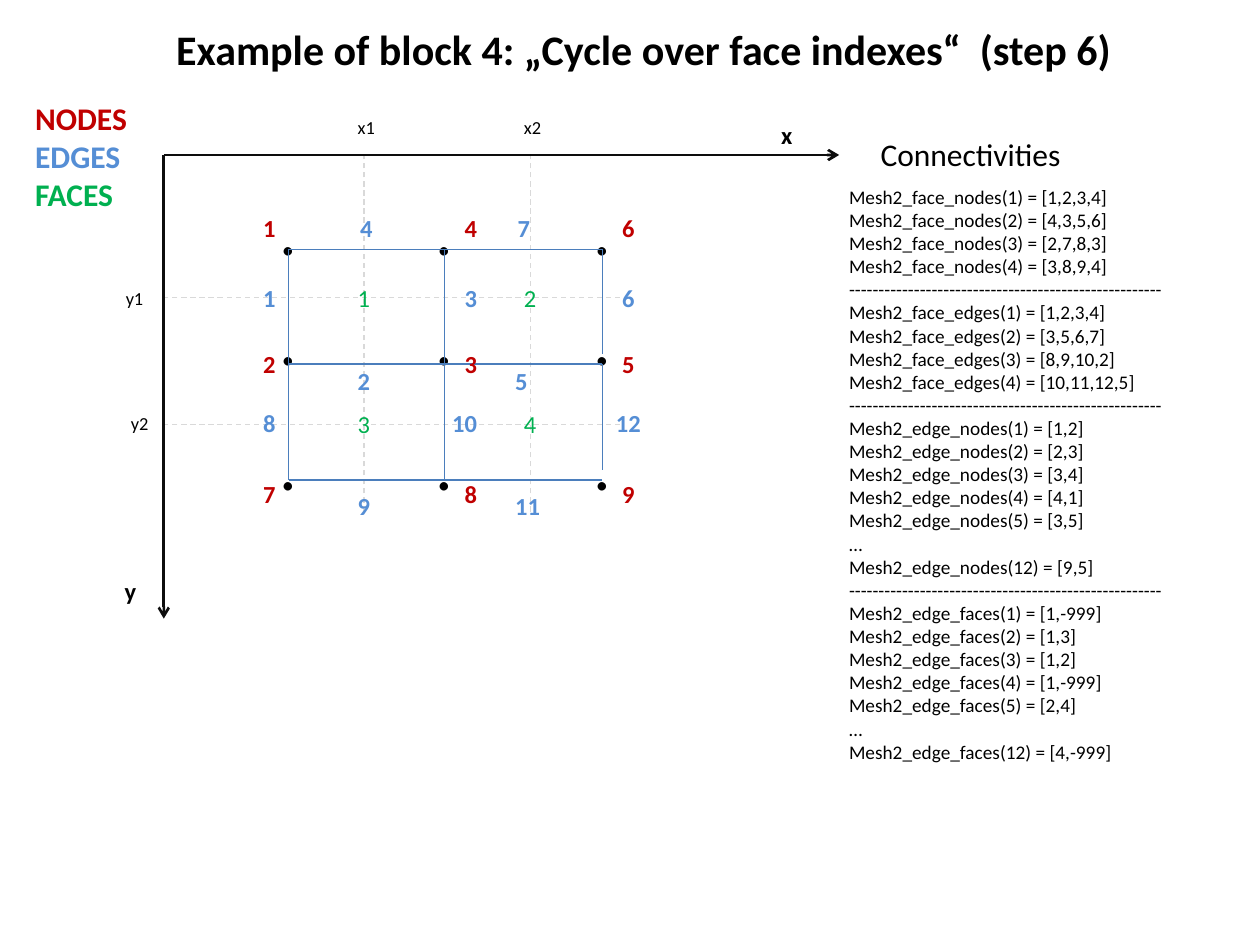
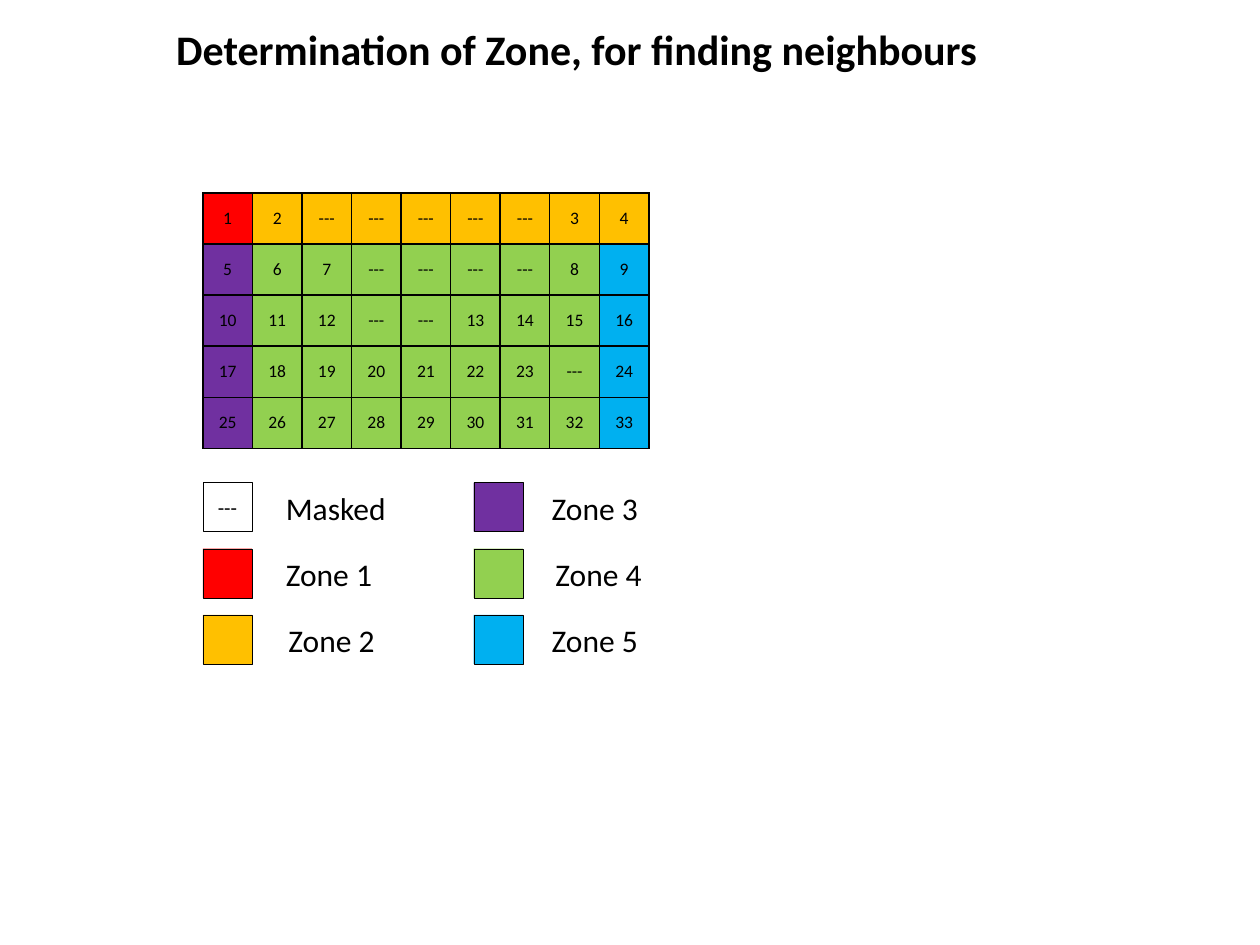
import itertools

import pptx
import pptx.dml.color
import pptx.enum.dml
import pptx.enum.shapes
import pptx.enum.text
import pptx.oxml
import pptx.oxml.ns
import pptx.util

COLORS = {
    "black": "000000", "axis": "0D0D0D", "guide": "D9D9D9", "mesh": "4B7EBC",
    "node": "C00000", "edge": "558ED5", "face": "00B050",
    "zone 1": "FF0000", "zone 2": "FFC000", "zone 3": "7030A0",
    "zone 4": "92D050", "zone 5": "00B0F0",
}
FONT = "Calibri"
COLUMNS = 100  # square grid units across the slide; 75 fit down it


def rgb(name):
    """Return the named colour."""
    return pptx.dml.color.RGBColor.from_string(COLORS[name])


class Slides:
    """The deck's style and current slide; lengths are grid columns and rows."""

    def __init__(self):
        """Open an empty 4:3 deck."""
        self.deck = pptx.Presentation()
        self.deck.slide_width = pptx.util.Inches(10)
        self.deck.slide_height = pptx.util.Inches(7.5)
        self.shapes = None

    def grid(self, *lengths):
        """Turn grid units into slide lengths."""
        unit = self.deck.slide_width / COLUMNS
        return [pptx.util.Emu(round(length * unit)) for length in lengths]

    def start(self, title):
        """Add a blank slide with a title."""
        page = self.deck.slides.add_slide(self.deck.slide_layouts[6])
        self.shapes = page.shapes
        self.text(title, 13, 1.4, 77.2, 5, size=24, bold=True)

    def style(self, para, size, color="black", bold=False):
        """Set the font of a paragraph."""
        font = para.font
        font.name, font.size, font.bold = FONT, pptx.util.Pt(size), bold
        font.color.rgb = rgb(color)

    def text(self, words, column, row, width, height, size=14,
             colors=("black",), bold=False, wrap=True):
        """Add a text box; colours repeat over its lines."""
        box = self.shapes.add_textbox(*self.grid(column, row, width, height))
        frame = box.text_frame
        frame.word_wrap = wrap
        frame.auto_size = pptx.enum.text.MSO_AUTO_SIZE.SHAPE_TO_FIT_TEXT
        frame.text = words
        for para, color in zip(frame.paragraphs, itertools.cycle(colors)):
            self.style(para, size, color, bold)

    def label(self, number, column, row, kind):
        """Add a mesh number, coloured by what it counts."""
        width = 2 + len(str(number))
        self.text(str(number), column, row, width, 3.4, colors=(kind,),
                  bold=kind != "face", wrap=False)

    def line(self, start, end, color, width=0.75, dashed=False, arrow=False):
        """Draw a straight line between two grid points."""
        connector = self.shapes.add_connector(
            pptx.enum.shapes.MSO_CONNECTOR.STRAIGHT, *self.grid(*start, *end))
        connector.line.color.rgb = rgb(color)
        connector.line.width = pptx.util.Pt(width)
        if dashed:
            connector.line.dash_style = pptx.enum.dml.MSO_LINE.DASH
        properties = connector._element.spPr
        if arrow:
            outline = properties.find(pptx.oxml.ns.qn("a:ln"))
            outline.append(pptx.oxml.parse_xml(
                f'<a:tailEnd {pptx.oxml.ns.nsdecls("a")} type="arrow"/>'))
        properties.append(pptx.oxml.parse_xml(
            f'<a:effectLst {pptx.oxml.ns.nsdecls("a")}/>'))

    def swatch(self, column, row, side, fill=None, words=""):
        """Draw an outlined square, filled or with words inside."""
        square = self.shapes.add_shape(
            pptx.enum.shapes.MSO_SHAPE.RECTANGLE,
            *self.grid(column, row, side, side))
        square.shadow.inherit = False
        square.line.color.rgb = rgb("black")
        square.line.width = pptx.util.Pt(0.25)
        if fill:
            square.fill.solid()
            square.fill.fore_color.rgb = rgb(fill)
        else:
            square.fill.background()
        if words:
            frame = square.text_frame
            frame.text = words
            frame.vertical_anchor = pptx.enum.text.MSO_ANCHOR.MIDDLE
            frame.paragraphs[0].alignment = pptx.enum.text.PP_ALIGN.CENTER
            self.style(frame.paragraphs[0], 12)

    def table(self, rows, column, row, width, height, fill_of):
        """Add a bordered table of equal cells; fill_of names a cell's colour."""
        across, down = len(rows[0]), len(rows)
        table = self.shapes.add_table(
            down, across, *self.grid(column, row, width, height)).table
        table.first_row = table.horz_banding = False
        for y, x in itertools.product(range(down), range(across)):
            cell = table.cell(y, x)
            cell.text = rows[y][x]
            cell.vertical_anchor = pptx.enum.text.MSO_ANCHOR.MIDDLE
            para = cell.text_frame.paragraphs[0]
            para.alignment = pptx.enum.text.PP_ALIGN.CENTER
            self.style(para, 10)
            self.borders(cell)
            cell.fill.solid()
            cell.fill.fore_color.rgb = rgb(fill_of(x, y))

    def borders(self, cell):
        """Give a cell thin black borders on all sides."""
        for side in "LRTB":
            cell._tc.get_or_add_tcPr().append(pptx.oxml.parse_xml(
                f'<a:ln{side} {pptx.oxml.ns.nsdecls("a")} w="12700">'
                f'<a:solidFill><a:srgbClr val="{COLORS["black"]}"/></a:solidFill>'
                f'</a:ln{side}>'))


MESH_X, MESH_Y = (22.9, 35.3, 47.8), (19.8, 28.9, 38.1)
CENTRE_X, CENTRE_Y = (28.9, 42.1), (23.6, 33.7)
LABEL_X = (19.9, 35.9, 48.4)
RULE = "-" * 53
CONNECTIVITIES = [
    ("face_nodes", {1: "1,2,3,4", 2: "4,3,5,6", 3: "2,7,8,3", 4: "3,8,9,4"}),
    ("face_edges", {1: "1,2,3,4", 2: "3,5,6,7", 3: "8,9,10,2",
                    4: "10,11,12,5"}),
    ("edge_nodes", {1: "1,2", 2: "2,3", 3: "3,4", 4: "4,1", 5: "3,5",
                    12: "9,5"}),
    ("edge_faces", {1: "1,-999", 2: "1,3", 3: "1,2", 4: "1,-999", 5: "2,4",
                    12: "4,-999"}),
]


def connectivity_lines():
    """Return the listing, ruled between groups, with an ellipsis for gaps."""
    lines = []
    for name, entries in CONNECTIVITIES:
        if lines:
            lines.append(RULE)
        for index, values in entries.items():
            if index == 12:
                lines.append("…")
            lines.append(f"Mesh2_{name}({index}) = [{values}]")
    return "\n".join(lines)


def draw_axes(slides):
    """Draw the guides, the two axes and their names."""
    for x in CENTRE_X:
        slides.line((x, 40.6), (x, 12.3), "guide", dashed=True)
    for y in reversed(CENTRE_Y):
        slides.line((49.2, y), (13, y), "guide", dashed=True)
    for end in ((13, 49.1), (66.6, 12.3)):
        slides.line((13, 12.3), end, "axis", width=1.5, arrow=True)
    slides.text("x", 61, 9, 4.5, 3.4, bold=True)
    slides.text("y", 8.9, 45.2, 4.5, 3.4, bold=True)
    for words, column, row, width in (
            ("x1", 27.4, 8.7, 4.5), ("x2", 40.6, 8.7, 4.5),
            ("y1", 9, 22.3, 3.6), ("y2", 9.4, 32.2, 3.6)):
        slides.text(words, column, row, width, 2.8, size=10.5)


def draw_mesh(slides):
    """Draw the nodes and edges of the four faces."""
    for y, x in itertools.product((14.2, 23, 32.9), (21.2, 33.6, 46.1)):
        slides.text(".", x, y, 3.4, 7.7, size=40, wrap=False)
    for y in MESH_Y:
        for left, right in itertools.pairwise(MESH_X):
            slides.line((left, y), (right, y), "mesh")
    for x in MESH_X:
        short = 0.8 if x == MESH_X[-1] else 0
        for top, bottom in itertools.pairwise(MESH_Y):
            slides.line((x, top), (x, bottom - short), "mesh")


def number_mesh(slides):
    """Number the nodes, edges and faces."""
    # kind, row, left ends, numbers
    for kind, row, columns, numbers in (
            ("node", 16.4, LABEL_X, (1, 4, 6)),
            ("node", 27.2, LABEL_X, (2, 3, 5)),
            ("node", 37.5, LABEL_X, (7, 8, 9)),
            ("edge", 16.4, (27.6, 40.1), (4, 7)),
            ("edge", 22, LABEL_X, (1, 3, 6)),
            ("edge", 28.6, (27.4, 39.9), (2, 5)),
            ("edge", 31.9, (19.9, 34.9, 47.9), (8, 10, 12)),
            ("edge", 38.5, (27.4, 39.9), (9, 11)),
            ("face", 22, (27.4, 40.6), (1, 2)),
            ("face", 32, (27.4, 40.6), (3, 4))):
        for column, number in zip(columns, numbers):
            slides.label(number, column, row, kind)


def build_mesh_slide(slides):
    """Build the slide on face indexes."""
    slides.start("Example of block 4: „Cycle over face indexes“  (step 6)")
    draw_axes(slides)
    draw_mesh(slides)
    number_mesh(slides)
    slides.text(connectivity_lines(), 66.4, 14.2, 28.3, 54.7, size=11)
    slides.text("Connectivities", 68.9, 10.2, 19.7, 4, size=18)
    slides.text("NODES\nEDGES\nFACES", 1.8, 7.4, 10.2, 10.1, size=18,
                colors=("node", "edge", "face"), bold=True)


MASK = "---"
OPEN_CELLS = ("##-----##", "###----##", "###--####", "#######-#", "#########")
LEGEND = [  # words, fill, square column, row of the legend, words column
    ("Masked", None, 16.1, 0, 21.7),
    ("Zone 1", "zone 1", 16.1, 1, 21.7),
    ("Zone 2", "zone 2", 16.1, 2, 21.9),
    ("Zone 3", "zone 3", 37.6, 0, 42.8),
    ("Zone 4", "zone 4", 37.6, 1, 43.1),
    ("Zone 5", "zone 5", 37.6, 2, 42.8),
]


def zone(x, y):
    """Name the zone of a cell from its place in the grid."""
    if y == 0:
        return "zone 1" if x == 0 else "zone 2"
    return {0: "zone 3", len(OPEN_CELLS[0]) - 1: "zone 5"}.get(x, "zone 4")


def build_zone_slide(slides):
    """Build the slide on zones."""
    slides.start("Determination of Zone, for finding neighbours")
    count = itertools.count(1)
    rows = [[str(next(count)) if mark == "#" else MASK for mark in line]
            for line in OPEN_CELLS]
    slides.table(rows, 16.1, 15.3, 35.4, 20.3, zone)
    for words, fill, column, step, words_column in LEGEND:
        row = 38.3 + 5.25 * step
        slides.swatch(column, row, 3.9, fill, "" if fill else MASK)
        slides.text(words, words_column, row, 8.9 if fill else 10, 4, size=18,
                    wrap=False)


def main():
    """Build and save the deck."""
    slides = Slides()
    build_mesh_slide(slides)
    build_zone_slide(slides)
    slides.deck.save("out.pptx")


main()
